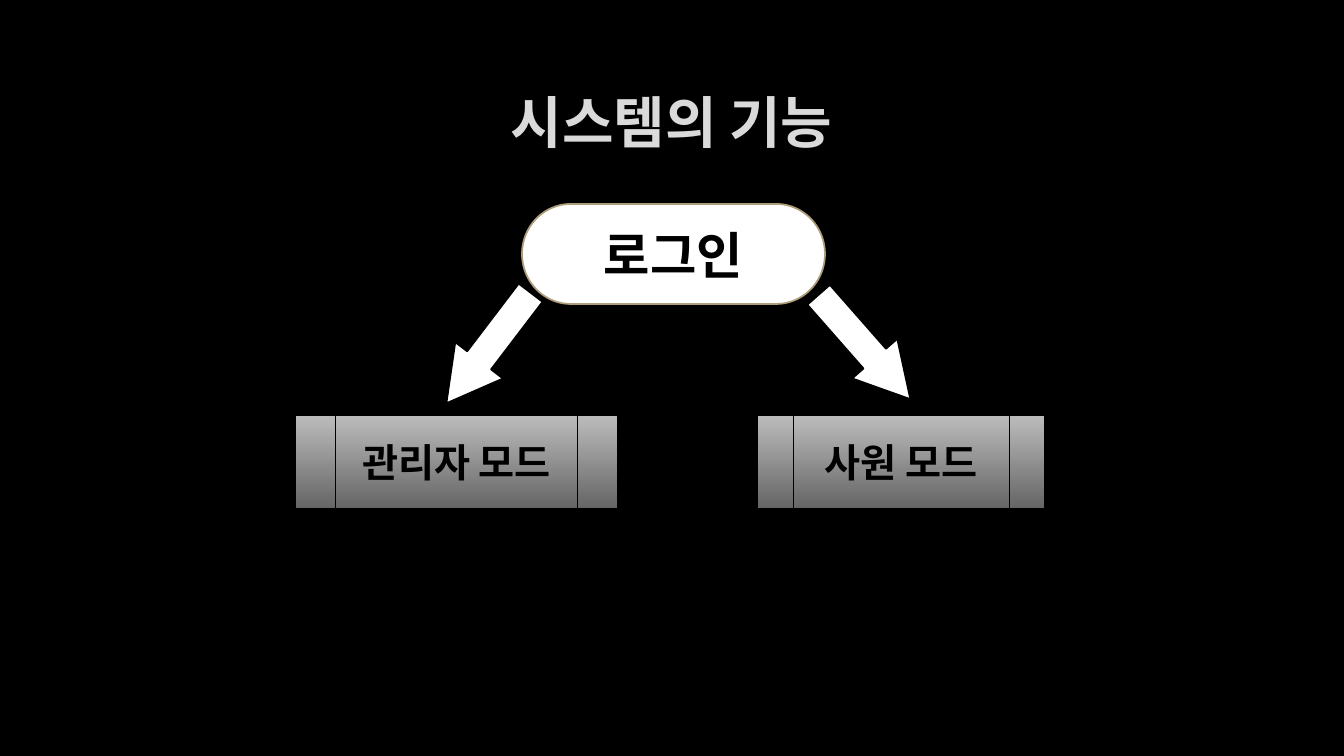
from dataclasses import dataclass

from lxml import etree
from pptx import Presentation, util as u
from pptx.dml.color import RGBColor
from pptx.enum import shapes, text
from pptx.oxml.ns import qn

PX = 914400 / 100.8  # EMU in one px


@dataclass(frozen=True)
class Theme:
    font: str = "Arial"
    back: str = "000000"
    title: str = "DADADA"
    title_edge: str = "404040"
    light: str = "FFFFFF"
    ink: str = "000000"
    login_edge: str = "AD9D7B"
    mode_fill: tuple = ("BCBCBC", "656565")
    title_size: int = 40
    login_size: int = 36
    mode_size: int = 28


THEME = Theme()


def px(n):
    return u.Emu(round(n * PX))


def rgb(value):
    return RGBColor.from_string(value)


def set_attrs(obj, **values):
    for name, value in values.items():
        setattr(obj, name, value)


def write(sp, words, size, color):
    """Put one bold, centred line into a shape."""
    tf = sp.text_frame
    set_attrs(tf, word_wrap=True, auto_size=text.MSO_AUTO_SIZE.NONE,
              vertical_anchor=text.MSO_ANCHOR.MIDDLE)
    p = tf.paragraphs[0]
    p.alignment = text.PP_ALIGN.CENTER
    r = p.add_run()
    r.text = words
    set_attrs(r.font, name=THEME.font, size=u.Pt(size), bold=True)
    r.font.color.rgb = rgb(color)
    return r


def add_box(s, kind, box, fill, edge, width):
    """Add a preset shape with a plain fill, or a top-to-bottom gradient."""
    sp = s.shapes.add_shape(kind, *map(px, box))
    sp.shadow.inherit = False
    if isinstance(fill, tuple):
        sp.fill.gradient()
        sp.fill.gradient_angle = 270
        for stop, color in zip(sp.fill.gradient_stops, fill):
            stop.color.rgb = rgb(color)
    else:
        sp.fill.solid()
        sp.fill.fore_color.rgb = rgb(fill)
    sp.line.color.rgb = rgb(edge)
    sp.line.width = u.Pt(width)
    return sp


def add_title(s, box, words):
    sp = s.shapes.title
    set_attrs(sp, **dict(zip(("left", "top", "width", "height"), map(px, box))))
    r = write(sp, words, THEME.title_size, THEME.title)
    # Faint outline around the letters
    ln = etree.Element(qn("a:ln"), w=str(u.Pt(0.75)))
    fill = etree.SubElement(ln, qn("a:solidFill"))
    color = etree.SubElement(fill, qn("a:srgbClr"), val=THEME.title_edge)
    etree.SubElement(color, qn("a:alpha"), val="10000")
    r.font._element.insert(0, ln)


def add_login_flow(s, box):
    left, top, width, height = box
    kinds = shapes.MSO_SHAPE

    # Login
    login = add_box(s, kinds.FLOWCHART_TERMINATOR, (left + 227, top, 303, 100),
                    THEME.light, THEME.login_edge, 1.25)
    write(login, "로그인", THEME.login_size, THEME.ink)

    # Arrows down to the modes
    for x, y, angle in ((124, 114, 127.3), (500, 113, 48.7)):
        arrow = add_box(s, kinds.RIGHT_ARROW, (left + x, top + y, 139, 60),
                        THEME.light, THEME.ink, 1.25)
        arrow.rotation = angle
        arrow.adjustments[1] = 0.9

    # Modes, at the two lower corners
    mode_h = 94
    mode_top = top + height - mode_h
    for words, x, w in (("관리자 모드", left, 323),
                        ("사원 모드", left + width - 287, 287)):
        mode = add_box(s, kinds.FLOWCHART_PREDEFINED_PROCESS,
                       (x, mode_top, w, mode_h), THEME.mode_fill, THEME.ink, 0.75)
        write(mode, words, THEME.mode_size, THEME.ink)


def main():
    prs = Presentation()
    set_attrs(prs, slide_width=px(1344), slide_height=px(756))
    s = prs.slides.add_slide(prs.slide_layouts[5])
    s.background.fill.solid()
    s.background.fill.fore_color.rgb = rgb(THEME.back)
    add_title(s, (101, 68, 1141, 107), "시스템의 기능")
    add_login_flow(s, (295, 204, 750, 305))
    prs.save("out.pptx")


if __name__ == "__main__":
    main()
